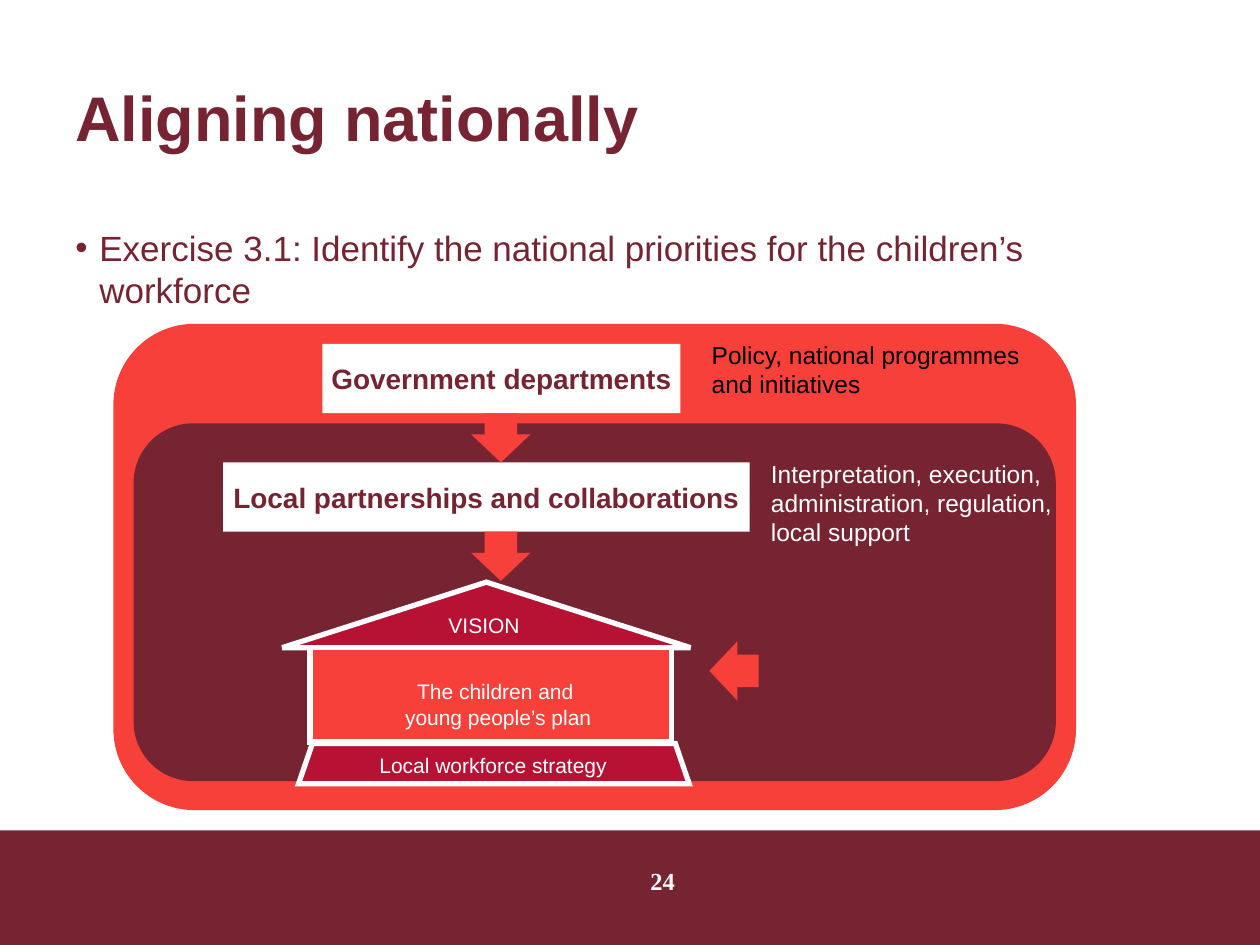
from lxml.etree import SubElement
from pptx import Presentation
from pptx.dml.color import RGBColor
from pptx.enum.shapes import MSO_SHAPE
from pptx.enum.text import MSO_ANCHOR, PP_ALIGN
from pptx.oxml.ns import qn
from pptx.util import Inches, Pt

# The slide is a grid of 100 columns by 75 rows.
CELL = Inches(0.1)
MAROON, RED, CRIMSON, WHITE, BLACK = "772432", "F7403A", "B71234", "FFFFFF", "000000"

presentation = Presentation()
presentation.slide_width = 100 * CELL
presentation.slide_height = 75 * CELL
slide = presentation.slides.add_slide(presentation.slide_layouts[6])


def paint(shape, fill, outlined=False):
    shape.shadow.inherit = False
    shape.fill.solid()
    shape.fill.fore_color.rgb = RGBColor.from_string(fill)
    if outlined:
        shape.line.color.rgb = RGBColor.from_string(WHITE)
        shape.line.width = Pt(3)
        outline = shape._element.spPr.find(qn("a:ln"))
        SubElement(outline, qn("a:miter")).set("lim", "800000")
    else:
        shape.line.fill.background()
    return shape


def write(shape, text, size, color, bold=False, align=PP_ALIGN.LEFT,
          anchor=MSO_ANCHOR.TOP, wrap=True, font="Arial"):
    frame = shape.text_frame
    frame.text = text
    frame.word_wrap = wrap
    frame.vertical_anchor = anchor
    paragraph = frame.paragraphs[0]
    paragraph.alignment = align
    for run in paragraph.runs:
        run.font.name = font
        run.font.size = Pt(size)
        run.font.bold = bold
        run.font.color.rgb = RGBColor.from_string(color)
    return paragraph


# Footer band, then the outer and inner panels
for kind, fill, column, row, columns, rows in [
    (MSO_SHAPE.RECTANGLE, MAROON, 0, 65.9, 100, 9.1),
    (MSO_SHAPE.FLOWCHART_ALTERNATE_PROCESS, RED, 9, 25.7, 76.4, 38.6),
    (MSO_SHAPE.FLOWCHART_ALTERNATE_PROCESS, MAROON, 10.6, 33.6, 73.2, 28.4),
]:
    paint(slide.shapes.add_shape(
        kind, column * CELL, row * CELL, columns * CELL, rows * CELL), fill)

title = slide.shapes.add_textbox(5 * CELL, 3 * CELL, 90 * CELL, 12.5 * CELL)
write(title, "Aligning nationally", 36, MAROON, bold=True, anchor=MSO_ANCHOR.MIDDLE)

exercise = slide.shapes.add_textbox(5 * CELL, 17.5 * CELL, 90 * CELL, 8 * CELL)
paragraph = write(
    exercise,
    "Exercise 3.1: Identify the national priorities for the children’s workforce",
    20, MAROON)
properties = paragraph._p.get_or_add_pPr()
properties.set("marL", str(Inches(0.19)))
properties.set("indent", str(-Inches(0.19)))
SubElement(properties, qn("a:buFont")).set("typeface", "Arial")
SubElement(properties, qn("a:buChar")).set("char", "•")

# White boxes for the two levels above the house
for text, column, row, columns in [
    ("Government departments", 25.6, 27.3, 28.4),
    ("Local partnerships and collaborations", 17.7, 36.7, 41.8),
]:
    level = paint(slide.shapes.add_shape(
        MSO_SHAPE.RECTANGLE, column * CELL, row * CELL, columns * CELL, 5.5 * CELL), WHITE)
    write(level, text, 16, MAROON, bold=True, align=PP_ALIGN.CENTER,
          anchor=MSO_ANCHOR.MIDDLE, wrap=False)

for text, color, column, row, columns, rows in [
    ("Interpretation, execution, administration, regulation, local support",
     WHITE, 60.2, 35.9, 24.4, 8),
    ("Policy, national programmes and initiatives", BLACK, 55.5, 26.5, 29.1, 5.7),
]:
    note = slide.shapes.add_textbox(column * CELL, row * CELL, columns * CELL, rows * CELL)
    write(note, text, 14, color)

for kind, column, row, columns, rows in [
    (MSO_SHAPE.DOWN_ARROW, 37.4, 32.8, 4.7, 3.9),
    (MSO_SHAPE.DOWN_ARROW, 37.4, 42.2, 4.7, 3.9),
    (MSO_SHAPE.LEFT_ARROW, 56.3, 50.9, 3.9, 4.7),
]:
    arrow = paint(slide.shapes.add_shape(
        kind, column * CELL, row * CELL, columns * CELL, rows * CELL), RED)
    arrow.adjustments[0] = 0.55
    arrow.adjustments[1] = 0.57

# House: roof, walls and base
paint(slide.shapes.add_shape(
    MSO_SHAPE.ISOSCELES_TRIANGLE, 22.4 * CELL, 46.2 * CELL, 32.4 * CELL, 5.2 * CELL),
    CRIMSON, outlined=True)
paint(slide.shapes.add_shape(
    MSO_SHAPE.RECTANGLE, 24.6 * CELL, 51.4 * CELL, 28.7 * CELL, 7.5 * CELL),
    RED, outlined=True)
# Freeform points are whole numbers, so the base counts in tenths of a cell.
base = slide.shapes.build_freeform(237, 622, scale=CELL / 10)
base.add_line_segments([(248, 590), (536, 590), (547, 622)], close=True)
paint(base.convert_to_shape(), CRIMSON, outlined=True)

for text, column, row, columns, rows in [
    ("VISION ", 22.4, 48.1, 32.5, 3),
    ("The children and \vyoung people’s plan", 26.4, 53.4, 26.3, 5),
    ("Local workforce strategy", 26, 59.2, 26.3, 3),
]:
    label = slide.shapes.add_textbox(column * CELL, row * CELL, columns * CELL, rows * CELL)
    write(label, text, 12, WHITE, align=PP_ALIGN.CENTER)

number = slide.shapes.add_textbox(48.4 * CELL, 68.2 * CELL, 8.4 * CELL, 5.2 * CELL)
write(number, "24", 14, WHITE, bold=True, align=PP_ALIGN.CENTER, font="Times New Roman")

presentation.save("out.pptx")
